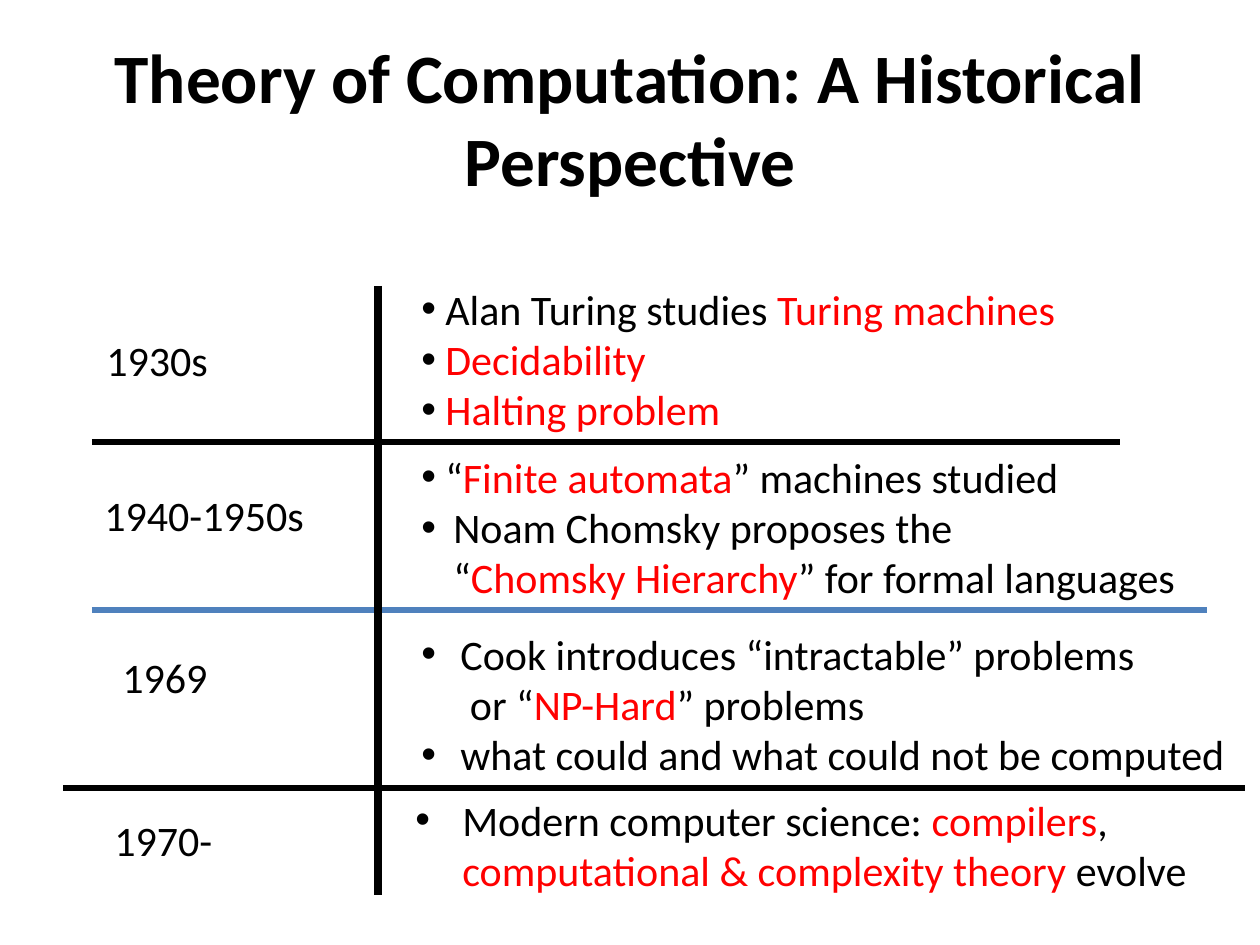
from lxml.etree import SubElement
from pptx import Presentation
from pptx.dml.color import RGBColor
from pptx.enum.shapes import MSO_CONNECTOR
from pptx.enum.text import MSO_ANCHOR, PP_ALIGN
from pptx.oxml.ns import qn
from pptx.util import Emu, Pt

BLACK = RGBColor(0x00, 0x00, 0x00)
RED = RGBColor(0xFF, 0x00, 0x00)
BLUE = RGBColor(0x4F, 0x81, 0xBD)
FONT = "Calibri"
PIXELS_PER_INCH = 126

# Year box, bullet box, bullet indent and bullets of each era.
# In a bullet, "|" switches between black and red text.
ERAS = [
    ("1930s", (94, 328, 127, 63), (409, 277, 672, 165), 24,
     ["Alan Turing studies |Turing machines", "|Decidability", "|Halting problem"]),
    ("1940-1950s", (92, 483, 227, 63), (409, 445, 782, 165), 24,
     ["“|Finite automata|” machines studied",
      "Noam Chomsky proposes the\n“|Chomsky Hierarchy|” for formal languages"]),
    ("1969", (110, 645, 111, 63), (409, 622, 835, 165), 39,
     ["Cook introduces “intractable” problems\n or “|NP-Hard|” problems",
      "what could and what could not be computed"]),
    ("1970-", (102, 808, 125, 63), (403, 788, 804, 115), 47,
     ["Modern computer science: |compilers|,\n"
      "|computational & complexity theory| evolve"]),
]
WIDER_INDENTS = {"Noam": 32}

# Start, end, colour and width in points.
RULES = [
    ((92, 442), (1120, 442), BLACK, 3),
    ((92, 610), (1207, 610), BLUE, 3),
    ((63, 788), (1245, 788), BLACK, 3),
    ((378, 286), (378, 895), BLACK, 4.5),
]


def px(length):
    return Emu(round(length * 914400 / PIXELS_PER_INCH))


def set_bullet(para, indent):
    properties = para._p.get_or_add_pPr()
    properties.set("marL", str(px(indent)))
    properties.set("indent", str(-px(indent)))
    SubElement(properties, qn("a:buClr")).append(
        properties.makeelement(qn("a:srgbClr"), {"val": str(BLACK)}))
    SubElement(properties, qn("a:buFont")).set("typeface", "Arial")
    SubElement(properties, qn("a:buChar")).set("char", "•")


def add_text(slide, box, paragraphs, size=24, bold=False, align=PP_ALIGN.LEFT,
             anchor=MSO_ANCHOR.TOP, wrap=True, indent=None):
    frame = slide.shapes.add_textbox(*map(px, box)).text_frame
    frame.word_wrap = wrap
    frame.vertical_anchor = anchor
    for number, text in enumerate(paragraphs):
        para = frame.add_paragraph() if number else frame.paragraphs[0]
        para.alignment = align
        if indent:
            set_bullet(para, WIDER_INDENTS.get(text.split()[0], indent))
        for position, part in enumerate(text.split("|")):
            for line_number, line in enumerate(part.split("\n")):
                if line_number:
                    para.add_line_break()
                if line:
                    span = para.add_run()
                    span.text = line
                    span.font.name = FONT
                    span.font.size = Pt(size)
                    span.font.bold = bold
                    span.font.color.rgb = RED if position % 2 else BLACK


def add_rule(slide, start, end, color, width):
    rule = slide.shapes.add_connector(MSO_CONNECTOR.STRAIGHT, *map(px, start + end))
    rule.line.color.rgb = color
    rule.line.width = Pt(width)
    SubElement(rule._element.spPr, qn("a:effectLst"))


def add_title(slide, box):
    add_text(slide, box, ["Theory of Computation: A Historical Perspective"],
             size=39.6, bold=True, align=PP_ALIGN.CENTER, anchor=MSO_ANCHOR.MIDDLE)


def add_era(slide, year, year_box, bullet_box, indent, bullets):
    add_text(slide, year_box, [year], wrap=False)
    add_text(slide, bullet_box, bullets, indent=indent)


def main():
    deck = Presentation()
    deck.slide_width, deck.slide_height = px(1260), px(945)
    slide = deck.slides.add_slide(deck.slide_layouts[6])
    add_title(slide, (63, 38, 1134, 158))
    for era in ERAS:
        add_era(slide, *era)
    for rule in RULES:
        add_rule(slide, *rule)
    deck.save("out.pptx")


if __name__ == "__main__":
    main()
